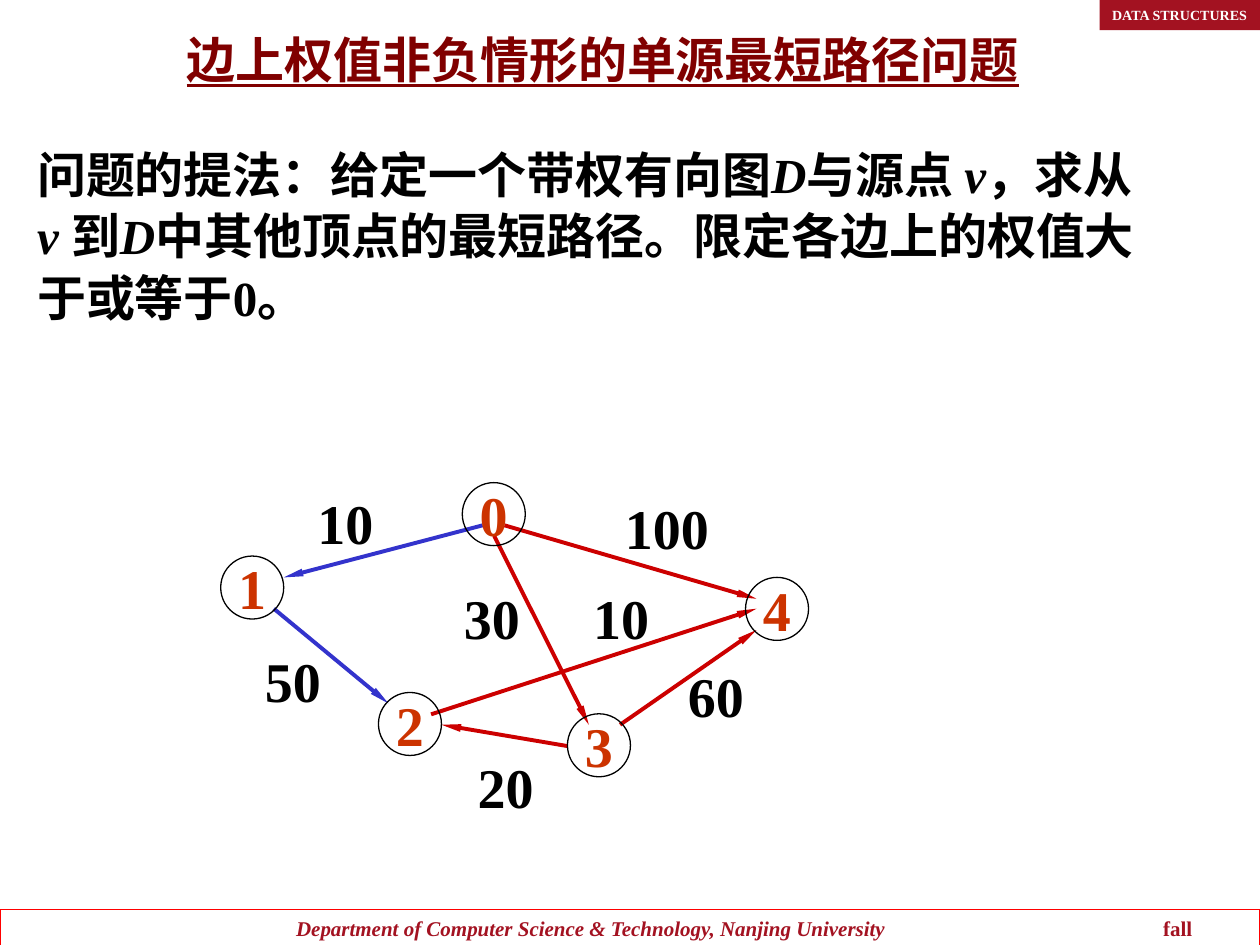
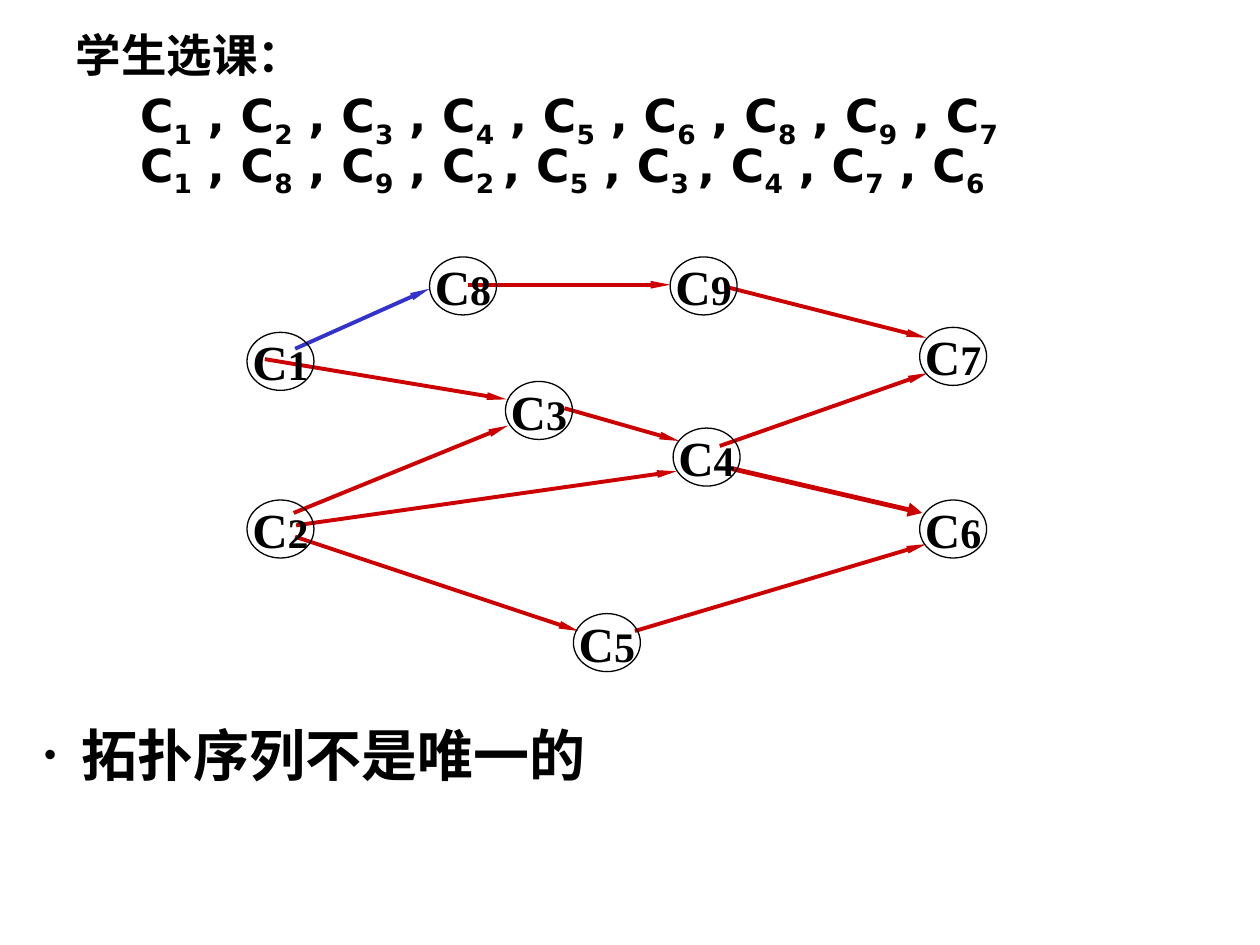
import pptx
import pptx.util
import pptx.dml.color
import pptx.enum.shapes
import pptx.enum.text
import pptx.oxml.ns
from lxml import etree

Cm = pptx.util.Cm
Pt = pptx.util.Pt
SHAPE = pptx.enum.shapes.MSO_SHAPE
ANCHOR = pptx.enum.text.MSO_ANCHOR
ALIGN = pptx.enum.text.PP_ALIGN

SERIF, SANS, ARIAL = "Times New Roman", "DejaVu Sans", "Arial"
BLACK, WHITE, CRIMSON, MAROON = "000000", "FFFFFF", "A31221", "800000"
RED, BLUE, ORANGE, FRAME = "CC0000", "3333CC", "CC3300", "FF0000"

PATH_NODES = {"0": (4.87, 0), "1": (0, 1.48), "2": (3.18, 4.23),
              "3": (6.99, 4.66), "4": (10.58, 1.91)}
PATH_EDGES = [
    ((5.51, 1.07), (7.42, 4.88), RED),
    ((6.99, 5.31), (4.45, 4.88), RED),
    ((4.24, 4.67), (10.8, 2.54), RED),
    ((5.72, 0.86), (10.8, 2.34), RED),
    ((1.07, 2.54), (3.38, 4.45), BLUE),
    ((5.28, 0.86), (1.27, 1.91), BLUE),
    ((8.05, 4.88), (10.8, 2.97), RED),
]
WEIGHTS = [("10", 1.7, 0), ("100", 7.9, 0.1), ("30", 4.65, 1.91),
           ("50", 0.64, 3.18), ("60", 9.17, 3.48), ("10", 7.26, 1.91),
           ("20", 4.93, 5.31)]

COURSE_NODES = {"1": (0, 1.52), "2": (0, 4.9), "3": (5.21, 2.51),
                "4": (8.59, 3.45), "5": (6.58, 7.19), "6": (13.56, 4.9),
                "7": (13.56, 1.42), "8": (3.68, 0), "9": (8.53, 0)}
COURSE_EDGES = [
    ((0.99, 5.41), (8.66, 4.32), RED),
    ((6.4, 3.05), (8.71, 3.71), RED),
    ((9.68, 0.61), (13.69, 1.63), RED),
    ((9.53, 3.81), (13.72, 2.34), RED),
    ((4.45, 0.56), (8.53, 0.56), RED),
    ((0.97, 5.64), (6.68, 7.54), RED),
    ((0.94, 5.16), (5.26, 3.4), RED),
    ((0.36, 2.06), (5.23, 2.87), RED),
    ((0.97, 1.85), (3.68, 0.64), BLUE),
    ((7.82, 7.54), (13.69, 5.79), RED),
]
COURSE_ORDERS = [["1", "2", "3", "4", "5", "6", "8", "9", "7"],
                 ["1", "8", "9", "2 ", "5", "3 ", "4", "7", "6"]]


def rgb(color):
    return pptx.dml.color.RGBColor.from_string(color)


def add_run(p, text, font=SERIF, size=28, color=BLACK, bold=True,
            italic=False, underline=False, baseline=0):
    r = p.add_run()
    r.text = text
    r.font.name = font
    r.font.size = Pt(size)
    r.font.bold = bold
    r.font.italic = italic
    r.font.underline = underline
    r.font.color.rgb = rgb(color)
    if baseline:
        r._r.get_or_add_rPr().set("baseline", str(baseline * 1000))


def add_property(p, tag, **attributes):
    return etree.SubElement(p._p.get_or_add_pPr(),
                            pptx.oxml.ns.qn("a:" + tag), attributes)


def set_indent(p, margin, first=0):
    pPr = p._p.get_or_add_pPr()
    pPr.set("marL", str(Cm(margin)))
    pPr.set("indent", str(Cm(first)))


def place(sp, left, top, width, height):
    sp.left, sp.top, sp.width, sp.height = map(Cm, (left, top, width, height))


def add_box(shapes, kind, box, fill=None, line=None, wrap=True):
    sp = shapes.add_shape(kind, *map(Cm, box))
    sp.shadow.inherit = False
    if fill:
        sp.fill.solid()
        sp.fill.fore_color.rgb = rgb(fill)
    else:
        sp.fill.background()
    if line:
        sp.line.color.rgb = rgb(line)
        sp.line.width = Pt(0.75)
    else:
        sp.line.fill.background()
    tf = sp.text_frame
    tf.word_wrap = wrap
    tf.vertical_anchor = ANCHOR.MIDDLE
    return tf.paragraphs[0]


def add_textbox(shapes, box, wrap=True):
    tf = shapes.add_textbox(*map(Cm, box)).text_frame
    tf.word_wrap = wrap
    return tf.paragraphs[0]


def add_arrow(shapes, origin, start, end, color, width=2.25,
              head=("sm", "lg")):
    x, y = origin
    line = shapes.add_connector(
        pptx.enum.shapes.MSO_CONNECTOR.STRAIGHT,
        Cm(x + start[0]), Cm(y + start[1]), Cm(x + end[0]), Cm(y + end[1]))
    line.line.color.rgb = rgb(color)
    line.line.width = Pt(width)
    etree.SubElement(line.line._get_or_add_ln(), pptx.oxml.ns.qn("a:tailEnd"),
                     type="triangle", w=head[0], len=head[1])
    etree.SubElement(line._element.spPr, pptx.oxml.ns.qn("a:effectLst"))


def add_node(shapes, origin, offset, size, runs):
    box = (origin[0] + offset[0], origin[1] + offset[1], *size)
    p = add_box(shapes, SHAPE.OVAL, box, line=BLACK, wrap=False)
    p.alignment = ALIGN.CENTER
    for text, fmt in runs:
        add_run(p, text, **fmt)


def add_footer(slide, box):
    p = add_box(slide.shapes, SHAPE.RECTANGLE, box, line=FRAME)
    p.alignment = ALIGN.LEFT
    tabs = add_property(p, "tabLst")
    for stop in (5.72, 23.2):
        etree.SubElement(tabs, pptx.oxml.ns.qn("a:tab"),
                         pos=str(Cm(stop)), algn="l")
    add_run(p, "\tDepartment of Computer Science & Technology, Nanjing University",
            size=12, color=CRIMSON, italic=True)
    add_run(p, "\tfall", size=12, color=CRIMSON)


def add_course_tag(slide, box):
    p = add_box(slide.shapes, SHAPE.RECTANGLE, box, fill=CRIMSON)
    p.alignment = ALIGN.LEFT
    add_run(p, "DATA STRUCTURES", size=8, color=WHITE)


def add_title(slide, text, box):
    sp = slide.shapes.title
    place(sp, *box)
    tf = sp.text_frame
    tf.auto_size = pptx.enum.text.MSO_AUTO_SIZE.NONE
    tf.vertical_anchor = ANCHOR.BOTTOM
    p = tf.paragraphs[0]
    p.alignment = ALIGN.JUSTIFY
    add_run(p, text, font=SANS, color=MAROON, underline=True)


def add_problem(slide, box):
    p = add_textbox(slide.shapes, box)
    p.line_spacing = 1.05
    parts = ["问题的提法：给定一个带权有向图", "D", "与源点 ", "v", "，求从 ",
             "v ", "到", "D",
             "中其他顶点的最短路径。限定各边上的权值大于或等于0。"]
    for i, text in enumerate(parts):
        add_run(p, text, italic=i % 2 == 1)


def add_path_graph(slide, origin):
    shapes = slide.shapes.add_group_shape().shapes
    for start, end, color in PATH_EDGES:
        add_arrow(shapes, origin, start, end, color)
    for name, offset in PATH_NODES.items():
        add_node(shapes, origin, offset, (1.27, 1.27),
                 [(name, dict(size=32, color=ORANGE))])
    for weight, x, y in WEIGHTS:
        width = 0.51 + 0.6 * len(weight)
        p = add_textbox(shapes, (origin[0] + x, origin[1] + y, width, 1.63),
                        wrap=False)
        add_run(p, weight, size=32)


def add_course_orders(slide, box):
    sp = slide.placeholders[1]
    place(sp, *box)
    tf = sp.text_frame
    tf.auto_size = pptx.enum.text.MSO_AUTO_SIZE.NONE
    heading, orders = tf.paragraphs[0], tf.add_paragraph()
    for p, margin, before in ((heading, 0, 0), (orders, 1.3, 6.5)):
        set_indent(p, margin)
        p.line_spacing = 0.8
        p.space_before = Pt(before)
        add_property(p, "buNone")
    fmt = dict(font=SANS, size=26)
    add_run(heading, "学生选课：", **fmt)
    for row, order in enumerate(COURSE_ORDERS):
        if row:
            orders.add_line_break()
        prefix = "C"
        for number in order:
            add_run(orders, prefix, **fmt)
            add_run(orders, number, baseline=-25, **fmt)
            prefix = ", C" if number.endswith(" ") else " , C"


def add_course_graph(slide, origin):
    shapes = slide.shapes.add_group_shape().shapes
    for start, end, color in COURSE_EDGES:
        add_arrow(shapes, origin, start, end, color)
    add_arrow(shapes, origin, (9.78, 4.27), (13.61, 5.16), RED, width=2.75,
              head=("med", "med"))
    for number, offset in COURSE_NODES.items():
        add_node(shapes, origin, offset, (1.35, 1.17),
                 [("C", dict(size=28)), (number, dict(size=24))])


def add_conclusion(slide, box):
    p = add_textbox(slide.shapes, box)
    set_indent(p, 0.76, -0.76)
    color = add_property(p, "buClr")
    etree.SubElement(color, pptx.oxml.ns.qn("a:srgbClr"), val=BLACK)
    add_property(p, "buSzPct", val="62000")
    add_property(p, "buFont", typeface=ARIAL)
    add_property(p, "buChar", char="•")
    add_run(p, "拓扑序列不是唯一的", font=ARIAL, size=32)


def build_shortest_path(prs):
    slide = prs.slides.add_slide(prs.slide_layouts[5])
    add_footer(slide, (0, 18.34, 25.4, 0.76))
    add_course_tag(slide, (22.17, 0, 3.38, 0.61))
    add_title(slide, "边上权值非负情形的单源最短路径问题", (3.51, 0, 19.41, 1.9))
    add_path_graph(slide, (4.45, 9.73))
    add_problem(slide, (0.5, 2.72, 23.22, 3.99))


def build_topological_order(prs):
    slide = prs.slides.add_slide(prs.slide_layouts[1])
    title = slide.shapes.title._element
    title.getparent().remove(title)
    add_course_orders(slide, (1.27, 0.64, 22.86, 3.45))
    add_course_graph(slide, (4.98, 5.18))
    add_conclusion(slide, (0.64, 14.4, 17.58, 1.63))


def main():
    prs = pptx.Presentation()
    prs.slide_width, prs.slide_height = Cm(25.4), Cm(19.05)
    build_shortest_path(prs)
    build_topological_order(prs)
    prs.save("out.pptx")


if __name__ == "__main__":
    main()
